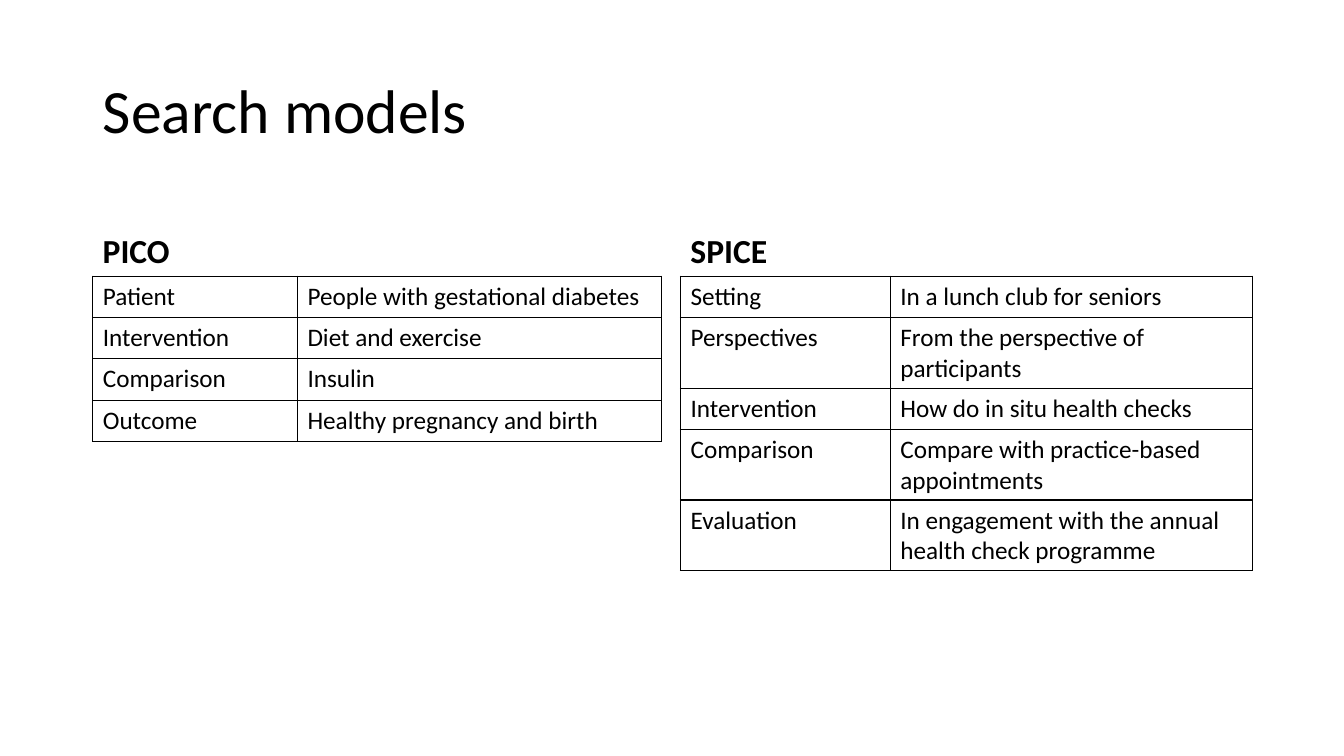
from lxml.etree import SubElement
from pptx import Presentation
from pptx.dml.color import RGBColor
from pptx.enum.text import MSO_ANCHOR as Anchor, PP_ALIGN as Align
from pptx.oxml.ns import qn
from pptx.util import Inches, Pt

BLACK = RGBColor(0x00, 0x00, 0x00)
FONT = "Calibri"
ROW_HEIGHT = 0.41
HEADING_HEIGHT = 0.9

PICO = [
    ("Patient", "People with gestational diabetes"),
    ("Intervention", "Diet and exercise"),
    ("Comparison", "Insulin"),
    ("Outcome", "Healthy pregnancy and birth"),
]
SPICE = [
    ("Setting", "In a lunch club for seniors"),
    ("Perspectives", "From the perspective of participants"),
    ("Intervention", "How do in situ health checks"),
    ("Comparison", "Compare with practice-based appointments"),
    ("Evaluation", "In engagement with the annual health check programme"),
]


def write_text(frame, text, size=18, bold=False, anchor=Anchor.TOP, line_spacing=1.0):
    """Write one left-aligned paragraph into a text frame."""
    frame.word_wrap = True
    frame.vertical_anchor = anchor
    paragraph = frame.paragraphs[0]
    paragraph.alignment = Align.LEFT
    paragraph.line_spacing = line_spacing
    run = paragraph.add_run()
    run.text = text
    run.font.name = FONT
    run.font.size = Pt(size)
    run.font.bold = bold
    run.font.color.rgb = BLACK


def format_cell(cell):
    """Clear the fill of a cell and draw a thin line on each side."""
    cell.fill.background()
    properties = cell._tc.get_or_add_tcPr()
    for index, side in enumerate(("a:lnL", "a:lnR", "a:lnT", "a:lnB")):
        line = SubElement(properties, qn(side), w=str(Pt(1)))
        fill = SubElement(line, qn("a:solidFill"))
        SubElement(fill, qn("a:srgbClr"), val=str(BLACK))
        properties.insert(index, line)


def add_title(slide, text, left, top, width, height):
    """Place and fill the title placeholder."""
    title = slide.shapes.title
    title.left, title.top = Inches(left), Inches(top)
    title.width, title.height = Inches(width), Inches(height)
    write_text(title.text_frame, text, size=44, anchor=Anchor.MIDDLE, line_spacing=0.9)


def add_model(slide, name, rows, left, top, width, label_width):
    """Place a heading with the table of its search model below."""
    heading = slide.shapes.add_textbox(
        Inches(left), Inches(top), Inches(width), Inches(HEADING_HEIGHT))
    write_text(heading.text_frame, name, size=24, bold=True,
               anchor=Anchor.BOTTOM, line_spacing=0.9)
    table = slide.shapes.add_table(
        len(rows), 2, Inches(left), Inches(top + HEADING_HEIGHT),
        Inches(width), Inches(ROW_HEIGHT * len(rows))).table
    table.first_row = table.horz_banding = False
    table.columns[0].width = Inches(label_width)
    table.columns[1].width = Inches(width - label_width)
    for row_index, row in enumerate(rows):
        for column_index, text in enumerate(row):
            cell = table.cell(row_index, column_index)
            format_cell(cell)
            write_text(cell.text_frame, text)


def main():
    """Build and save the slide."""
    presentation = Presentation()
    presentation.slide_width, presentation.slide_height = Inches(13.33), Inches(7.5)
    slide = presentation.slides.add_slide(presentation.slide_layouts[5])
    add_title(slide, "Search models", 0.92, 0.4, 11.5, 1.45)
    add_model(slide, "PICO", PICO, 0.92, 1.84, 5.64, 2.03)
    add_model(slide, "SPICE", SPICE, 6.75, 1.84, 5.67, 2.08)
    presentation.save("out.pptx")


if __name__ == "__main__":
    main()
